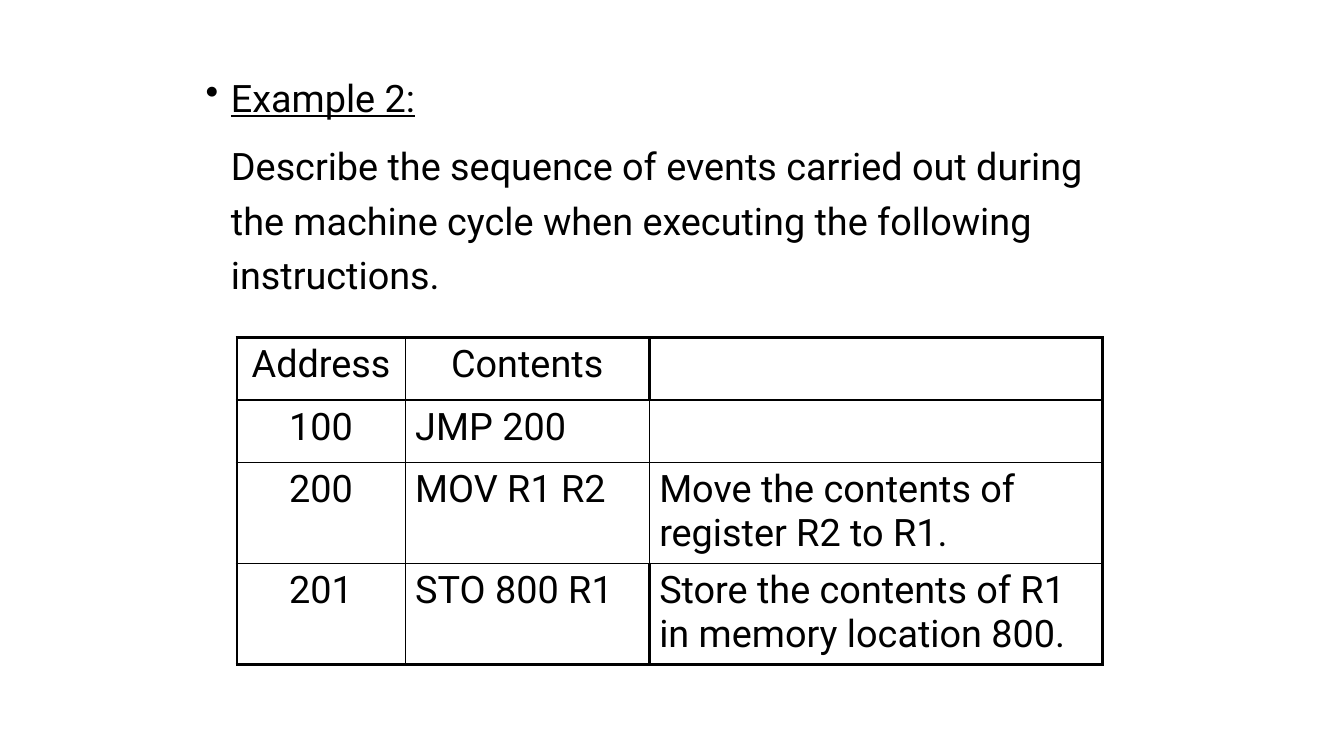
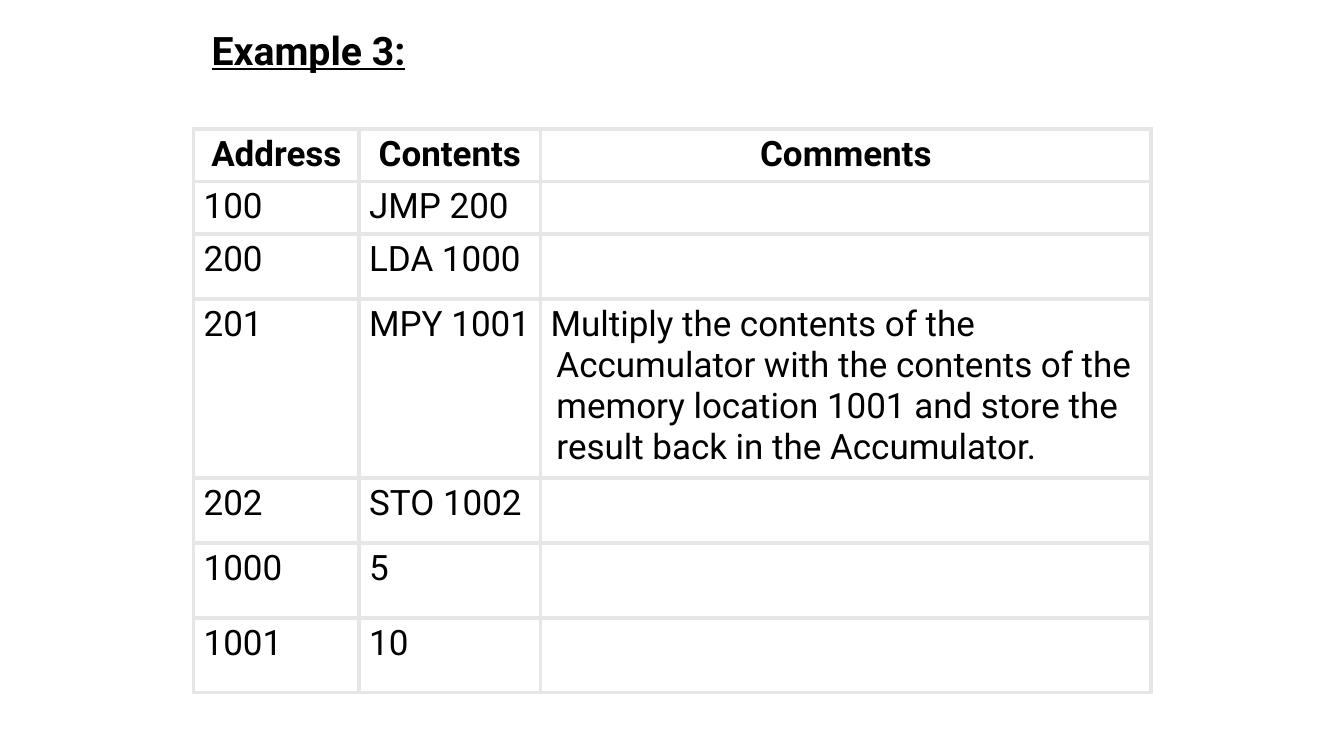
from dataclasses import dataclass

from lxml.etree import SubElement
from pptx import Presentation
from pptx.dml.color import RGBColor
from pptx.enum.text import MSO_ANCHOR, PP_ALIGN as Align
from pptx.oxml.ns import qn
from pptx.util import Cm, Pt


@dataclass(frozen=True)
class Theme:
    font: str = "Roboto"
    ink: str = "000000"
    grid: str = "E7E6E6"
    title: int = 28
    body: int = 27
    cell: int = 25


THEME = Theme()
TITLE_ONLY, BLANK = 5, 6


def set_indent(p, left, first=0.0, bullet=None):
    """Set left margin and first-line offset in cm, and an optional bullet."""
    pPr = p._p.get_or_add_pPr()
    pPr.set("marL", str(Cm(left)))
    pPr.set("indent", str(Cm(first)))
    if bullet:
        SubElement(pPr, qn("a:buChar"), char=bullet)


def set_borders(cell, color, widths):
    """Draw cell edges; widths are points for left, right, top and bottom."""
    tcPr = cell._tc.get_or_add_tcPr()
    for side, width in zip("LRTB", widths):
        ln = SubElement(tcPr, qn(f"a:ln{side}"), w=str(Pt(width)))
        fill = SubElement(ln, qn("a:solidFill"))
        SubElement(fill, qn("a:srgbClr"), val=color)


class Deck:
    def __init__(self, theme):
        self.theme = theme
        self.prs = Presentation()
        self.prs.slide_width, self.prs.slide_height = Cm(33.87), Cm(19.05)
        self.s = None

    def slide(self, layout):
        self.s = self.prs.slides.add_slide(self.prs.slide_layouts[layout])

    def run(self, p, text, size, bold=False, underline=False):
        r = p.add_run()
        r.text = text
        r.font.name, r.font.size = self.theme.font, Pt(size)
        r.font.bold, r.font.underline = bold, underline
        r.font.color.rgb = RGBColor.from_string(self.theme.ink)

    def title(self, text, x, y, w, h):
        sp = self.s.shapes.title
        sp.left, sp.top, sp.width, sp.height = Cm(x), Cm(y), Cm(w), Cm(h)
        tf = sp.text_frame
        tf.word_wrap, tf.vertical_anchor = True, MSO_ANCHOR.TOP
        p = tf.paragraphs[0]
        p.alignment = Align.LEFT
        self.run(p, text, self.theme.title, bold=True, underline=True)

    def example(self, heading, task, x, y, w, h):
        """Add a bulleted, underlined heading with its task below."""
        tf = self.s.shapes.add_textbox(Cm(x), Cm(y), Cm(w), Cm(h)).text_frame
        tf.word_wrap = True
        heading_p, task_p = tf.paragraphs[0], tf.add_paragraph()
        for p in (heading_p, task_p):
            p.line_spacing, p.space_before = 1.2, Pt(10)
        set_indent(heading_p, 0.64, -0.84, "•")
        set_indent(task_p, 0.64)
        self.run(heading_p, heading, self.theme.body, underline=True)
        self.run(task_p, task, self.theme.body)

    def table(self, rows, x, y, widths, heights, size, color, edge, inner,
              bold_header=False, centered_col=None, heavy=(), hanging=0.0):
        """Add a table; heavy lists the (row, column) cells with a thick right edge."""
        last_row, last_col = len(rows) - 1, len(widths) - 1
        table = self.s.shapes.add_table(
            len(rows), len(widths), Cm(x), Cm(y),
            Cm(sum(widths)), Cm(sum(heights))).table
        table.first_row = table.horz_banding = False
        for col, width in zip(table.columns, widths):
            col.width = Cm(width)
        for row, height in zip(table.rows, heights):
            row.height = Cm(height)
        for i, texts in enumerate(rows):
            for j, text in enumerate(texts):
                cell = table.cell(i, j)
                thick = (j == 0 or (i, j - 1) in heavy,
                         j == last_col or (i, j) in heavy,
                         i == 0, i == last_row)
                set_borders(cell, color, [edge if t else inner for t in thick])
                cell.fill.background()
                if not text:
                    continue
                p = cell.text_frame.paragraphs[0]
                centered = i == 0 or j == centered_col
                p.alignment = Align.CENTER if centered else Align.LEFT
                if hanging and i > 0 and j == last_col:
                    set_indent(p, hanging, -hanging)
                self.run(p, text, size, bold=bold_header and i == 0)


def main():
    deck = Deck(THEME)

    deck.slide(BLANK)
    deck.example(
        "Example 2:",
        "Describe the sequence of events carried out during the machine cycle "
        "when executing the following instructions.",
        4.93, 1.52, 23.06, 6.78)
    deck.table(
        [("Address", "Contents", ""),
         ("100", "JMP 200", ""),
         ("200", "MOV R1 R2", "Move the contents of register R2 to R1."),
         ("201", "STO 800 R1",
          "Store the contents of R1 in memory location 800.")],
        5.97, 8.51, (4.24, 6.15, 11.43), (1.57, 1.57, 2.49, 2.49),
        THEME.body, THEME.ink, edge=2.25, inner=1,
        centered_col=0, heavy={(0, 1), (3, 1)})

    deck.slide(TITLE_ONLY)
    deck.title("Example 3:", 5.08, 0.53, 6.05, 1.45)
    deck.table(
        [("Address", "Contents", "Comments"),
         ("100", "JMP 200", ""),
         ("200", "LDA 1000", ""),
         ("201", "MPY 1001",
          "Multiply the contents of the Accumulator with the contents of the "
          "memory location 1001 and store the result back in the Accumulator."),
         ("202", "STO 1002", ""),
         ("1000", "5", ""),
         ("1001", "10", "")],
        4.88, 3.25, (4.17, 4.57, 15.39),
        (1.32, 1.32, 1.65, 4.5, 1.65, 1.88, 1.88),
        THEME.cell, THEME.grid, edge=3, inner=3,
        bold_header=True, hanging=0.15)

    deck.prs.save("out.pptx")


if __name__ == "__main__":
    main()
